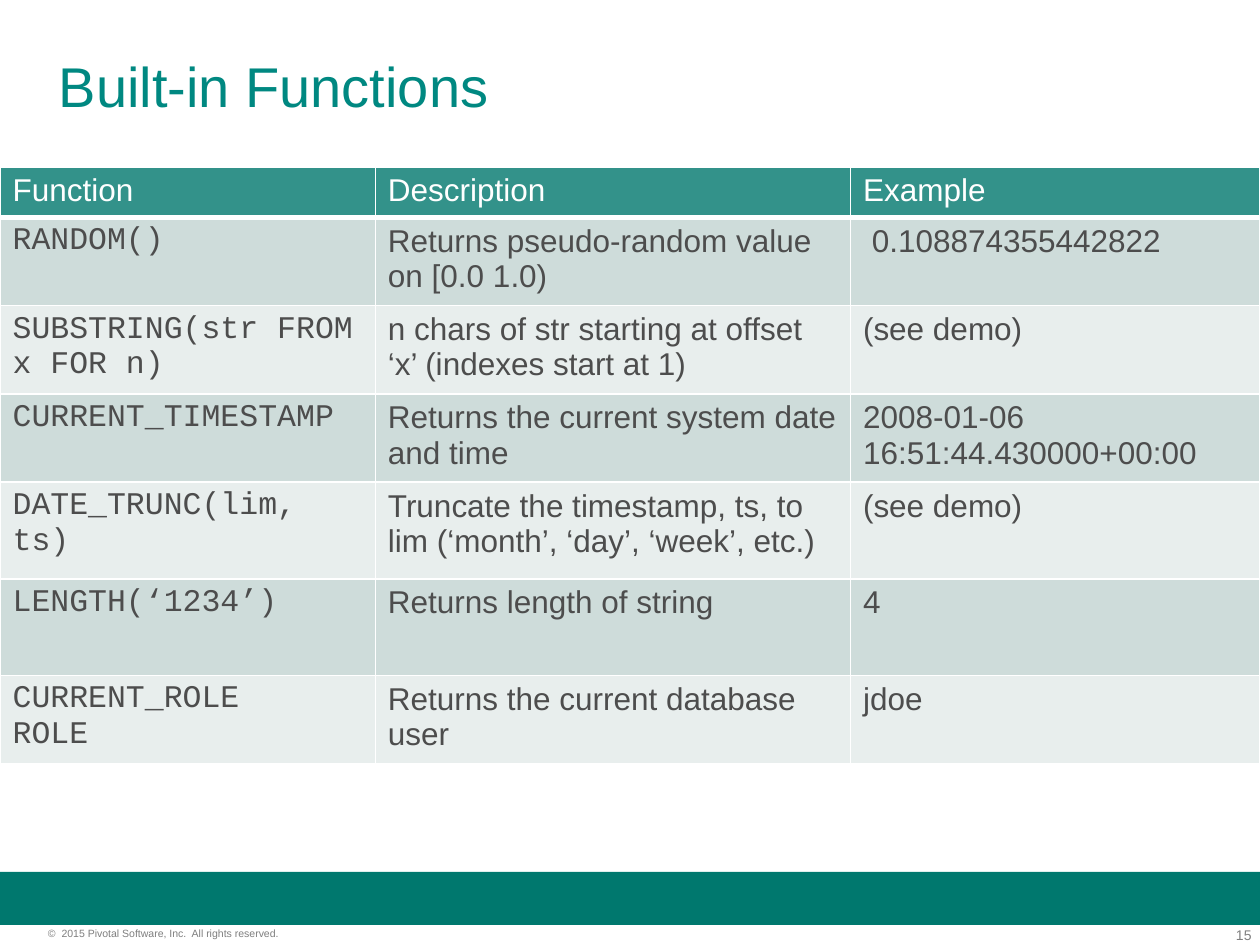
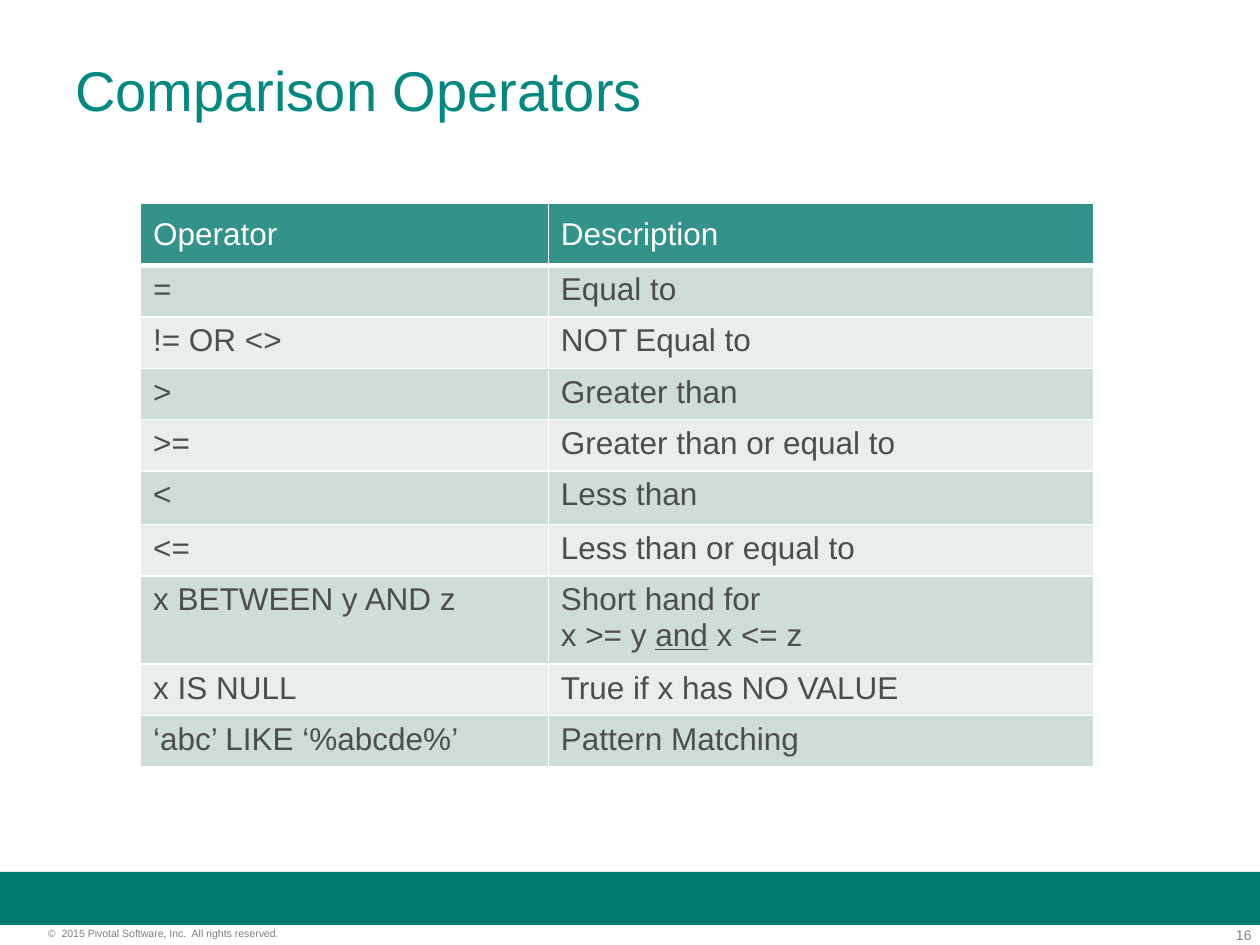
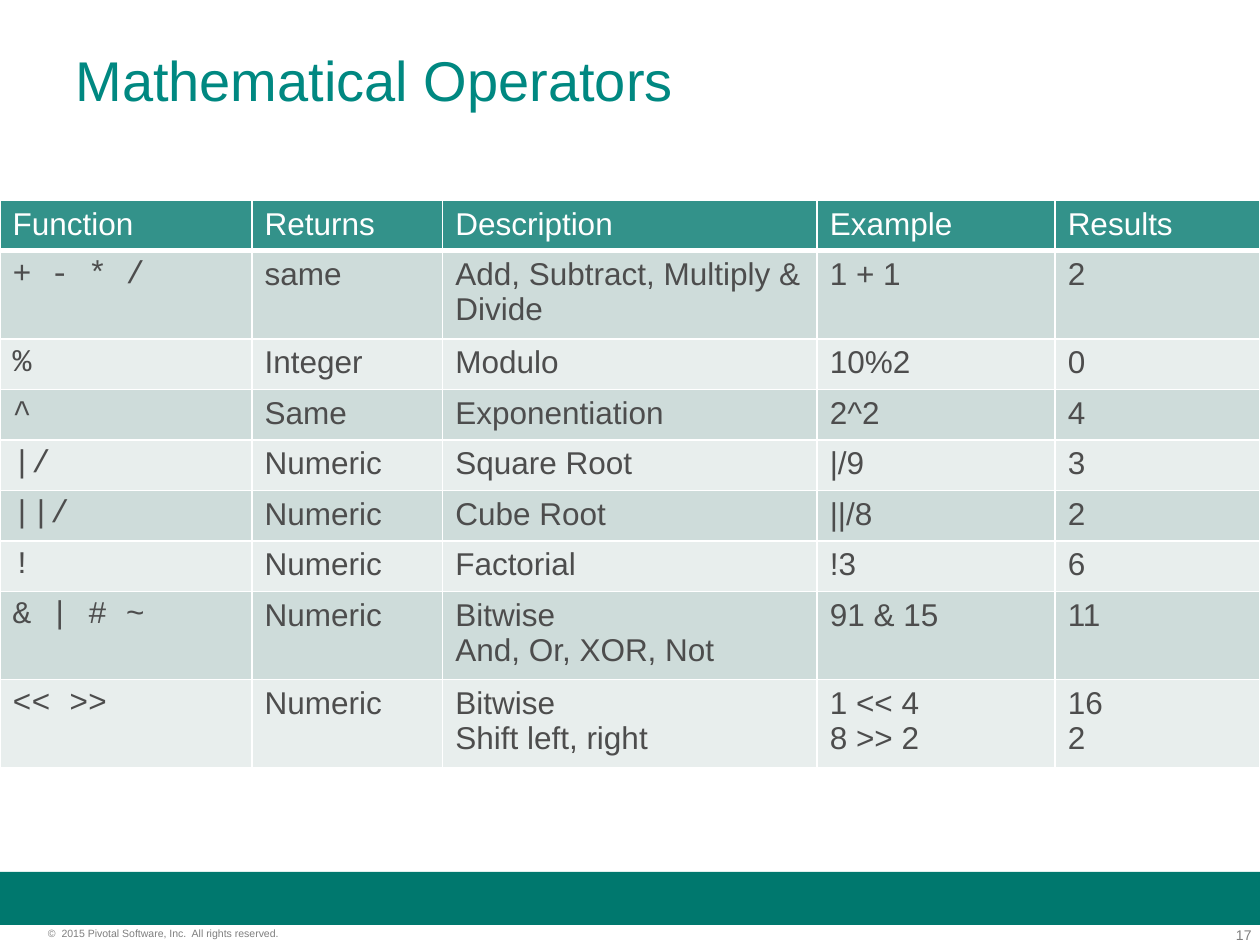
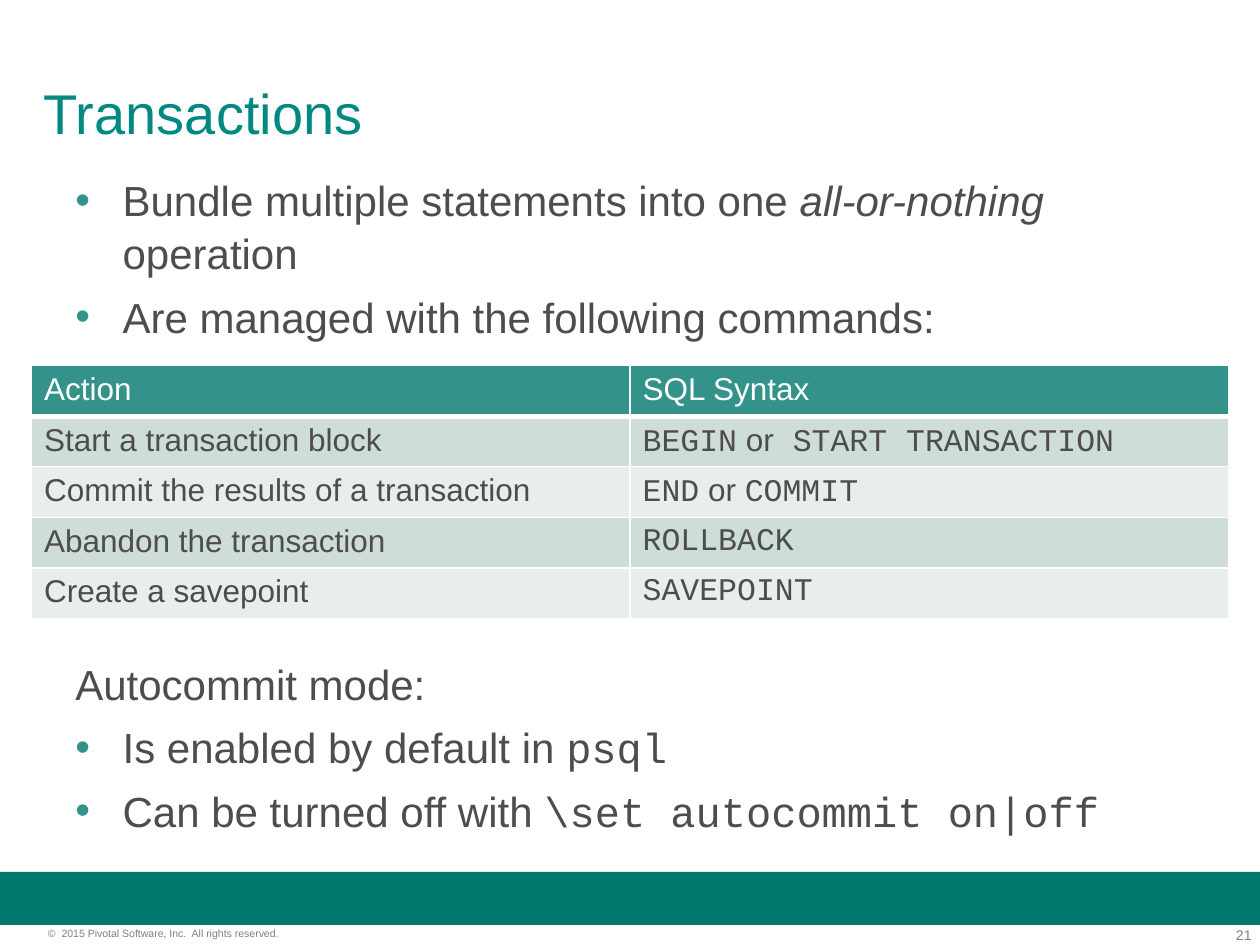
import pptx
import pptx.dml.color
import pptx.enum.shapes
import pptx.enum.text
import pptx.oxml
import pptx.oxml.ns
import pptx.util

Pt = pptx.util.Pt
ANCHOR = pptx.enum.text.MSO_ANCHOR

COLORS = {
    "title": "008881",
    "band": "00786E",
    "header": "33928A",
    "odd": "CEDCDA",
    "even": "E8EEED",
    "text": "4D4D4D",
    "footer": "7F7F7F",
    "white": "FFFFFF",
}
SANS, MONO = "Arial", "Courier New"
SLIDE_WIDTH, SLIDE_HEIGHT = 720, 540
COPYRIGHT = "©  2015 Pivotal Software, Inc.  All rights reserved."
ONE_LINE, TWO_LINES = 27.5, 47.7
INDENT = 27
BODY_GAP, TABLE_GAP = 6, 179.6

# In cells, a tuple holds paragraphs and a list holds the runs of one paragraph.
SLIDES = [
    {
        "title": "Built-in Functions",
        "title_box": (26.6, 8.6, 648, 80.6),
        "number": 15,
        "table": {
            "at": (0, 95.4),
            "columns": [214.5, 271.5, 234],
            "heights": [ONE_LINE] + [TWO_LINES] * 3 + [55.2] * 2 + [TWO_LINES],
            "code_first": True,
            "rows": [
                ("Function", "Description", "Example"),
                ("RANDOM()", "Returns pseudo-random value on [0.0 1.0)", " 0.108874355442822"),
                ("SUBSTRING(str FROM x FOR n)",
                 "n chars of str starting at offset ‘x’ (indexes start at 1)", "(see demo)"),
                ("CURRENT_TIMESTAMP", "Returns the current system date and time",
                 "2008-01-06 16:51:44.430000+00:00"),
                ("DATE_TRUNC(lim, ts)",
                 "Truncate the timestamp, ts, to lim (‘month’, ‘day’, ‘week’, etc.)", "(see demo)"),
                ("LENGTH(‘1234’)", "Returns length of string", "4"),
                ("CURRENT_ROLE \nROLE", "Returns the current database user", "jdoe"),
            ],
        },
    },
    {
        "title": "Comparison Operators",
        "title_box": (36, 18.7, 648, 64),
        "number": 16,
        "table": {
            "at": (80.3, 116.3),
            "columns": [233, 312],
            "heights": [35.6] + [29.3] * 4 + [30.8, 29.3, TWO_LINES] + [29.3] * 2,
            "header_anchor": ANCHOR.MIDDLE,
            "rows": [
                ("Operator", "Description"),
                ("=", "Equal to"),
                ("!= OR <>", "NOT Equal to"),
                (">", "Greater than"),
                (">=", "Greater than or equal to"),
                ("<", "Less than"),
                ("<=", "Less than or equal to"),
                ("x BETWEEN y AND z",
                 ("Short hand for", ["x >= y ", ("and", "underline"), " x <= z"])),
                ("x IS NULL", "True if x has NO VALUE"),
                ("‘abc’ LIKE ‘%abcde%’", "Pattern Matching"),
            ],
        },
    },
    {
        "title": "Mathematical Operators",
        "title_box": (36, 0, 648, 90),
        "number": 17,
        "table": {
            "at": (0, 114.5),
            "columns": [144, 109, 214, 136, 117],
            "heights": [ONE_LINE, TWO_LINES] + [ONE_LINE] * 5 + [TWO_LINES] * 2,
            "code_first": True,
            "rows": [
                ("Function", "Returns", "Description", "Example", "Results"),
                ("+ - * /", "same", "Add, Subtract, Multiply & Divide", "1 + 1", "2"),
                ("%", "Integer", "Modulo", "10%2", "0"),
                ("^", "Same", "Exponentiation", "2^2", "4"),
                ("|/", "Numeric", "Square Root", "|/9", "3"),
                ("||/", "Numeric", "Cube Root", "||/8", "2"),
                ("!", "Numeric", "Factorial", "!3", "6"),
                ("& | # ~", "Numeric", ("Bitwise", "And, Or, XOR, Not"), "91 & 15", "11"),
                ("<< >>", "Numeric", ("Bitwise", "Shift left, right"),
                 ("1 << 4", "8 >> 2"), ("16", "2")),
            ],
        },
    },
    {
        "title": "Transactions",
        "title_box": (18, 33.1, 648, 62),
        "number": 21,
        "body_box": (36, 95, 648, 356.4),
        "body": [
            (True, 0, ["Bundle multiple statements into one ",
                       ("all-or-nothing", "italic"), " operation"]),
            (True, BODY_GAP, "Are managed with the following commands:"),
            (False, TABLE_GAP, "Autocommit mode:"),
            (True, BODY_GAP, ["Is enabled by default in ", ("psql", "code")]),
            (True, BODY_GAP, ["Can be turned off with ", ("\\set autocommit on|off", "code")]),
        ],
        "table": {
            "at": (18, 209),
            "columns": [342, 342],
            "heights": [ONE_LINE, 28.7, 29.1, ONE_LINE, ONE_LINE],
            "rows": [
                ("Action", "SQL Syntax"),
                ("Start a transaction block",
                 [("BEGIN", "code"), " or", (" START TRANSACTION", "code")]),
                ("Commit the results of a transaction",
                 [("END", "code"), " or ", ("COMMIT", "code")]),
                ("Abandon the transaction", [("ROLLBACK", "code")]),
                ("Create a savepoint", [("SAVEPOINT", "code")]),
            ],
        },
    },
]


def rgb(name):
    return pptx.dml.color.RGBColor.from_string(COLORS[name])


def add_runs(paragraph, content, size, color, default="plain"):
    for item in content if isinstance(content, list) else [content]:
        words, style = item if isinstance(item, tuple) else (item, default)
        for index, line in enumerate(words.split("\n")):
            if index:
                paragraph.add_line_break()
            run = paragraph.add_run()
            run.text = line
            font = run.font
            font.name = MONO if style == "code" else SANS
            font.size = Pt(size)
            font.bold = False
            font.color.rgb = rgb(color)
            if style == "italic":
                font.italic = True
            if style == "underline":
                font.underline = True


def add_text_frame(slide, box, inset=True):
    frame = slide.shapes.add_textbox(*map(Pt, box)).text_frame
    frame.word_wrap = True
    if not inset:
        frame.margin_left = frame.margin_right = 0
        frame.margin_top = frame.margin_bottom = 0
    return frame


def add_frame(slide, number):
    band = slide.shapes.add_shape(
        pptx.enum.shapes.MSO_SHAPE.RECTANGLE, 0, Pt(498.2), Pt(SLIDE_WIDTH), Pt(30.4))
    band.shadow.inherit = False
    band.fill.solid()
    band.fill.fore_color.rgb = rgb("band")
    band.line.fill.background()
    page = add_text_frame(slide, (673.2, 529.2, 42, 9.4), inset=False).paragraphs[0]
    page.alignment = pptx.enum.text.PP_ALIGN.RIGHT
    add_runs(page, str(number), 8, "footer")
    notice = add_text_frame(slide, (27.4, 529.9, 179.3, 7.2), inset=False)
    add_runs(notice.paragraphs[0], COPYRIGHT, 6, "footer")


def add_title(slide, title, box):
    frame = add_text_frame(slide, box)
    frame.vertical_anchor = ANCHOR.MIDDLE
    add_runs(frame.paragraphs[0], title, 32, "title")


def add_body(slide, items, box):
    frame = add_text_frame(slide, box)
    for index, (bulleted, gap, content) in enumerate(items):
        paragraph = frame.add_paragraph() if index else frame.paragraphs[0]
        properties = paragraph._p.get_or_add_pPr()
        properties.set("marL", str(Pt(INDENT)))
        properties.set("indent", str(-Pt(INDENT)))
        if bulleted:
            for bullet in (
                f'<a:buClr %s><a:srgbClr val="{COLORS["header"]}"/></a:buClr>',
                f'<a:buFont %s typeface="{SANS}"/>',
                '<a:buChar %s char="•"/>',
            ):
                properties.append(pptx.oxml.parse_xml(bullet % pptx.oxml.ns.nsdecls("a")))
        paragraph.line_spacing = 1.05
        paragraph.space_before = Pt(gap)
        add_runs(paragraph, content, 24, "text")


def set_borders(cell, bottom):
    properties = cell._tc.get_or_add_tcPr()
    for side, width in (("L", 1), ("R", 1), ("T", 1), ("B", bottom)):
        properties.append(pptx.oxml.parse_xml(
            f'<a:ln{side} {pptx.oxml.ns.nsdecls("a")} w="{Pt(width)}"><a:solidFill>'
            f'<a:srgbClr val="{COLORS["white"]}"/></a:solidFill></a:ln{side}>'))


def add_grid(slide, at, columns, heights, rows, code_first=False, header_anchor=ANCHOR.TOP):
    size = (sum(columns), sum(heights))
    table = slide.shapes.add_table(len(rows), len(columns), *map(Pt, at + size)).table
    table.horz_banding = False
    for column, width in zip(table.columns, columns):
        column.width = Pt(width)
    for r, (row, height) in enumerate(zip(rows, heights)):
        table.rows[r].height = Pt(height)
        fill = "header" if r == 0 else "odd" if r % 2 else "even"
        for c, content in enumerate(row):
            cell = table.cell(r, c)
            set_borders(cell, 1 if r else 3)
            cell.fill.solid()
            cell.fill.fore_color.rgb = rgb(fill)
            cell.vertical_anchor = ANCHOR.TOP if r else header_anchor
            style = "code" if code_first and r and c == 0 else "plain"
            paragraphs = content if isinstance(content, tuple) else (content,)
            frame = cell.text_frame
            for index, words in enumerate(paragraphs):
                paragraph = frame.add_paragraph() if index else frame.paragraphs[0]
                add_runs(paragraph, words, 18, "text" if r else "white", style)


def main():
    deck = pptx.Presentation()
    deck.slide_width, deck.slide_height = Pt(SLIDE_WIDTH), Pt(SLIDE_HEIGHT)
    for content in SLIDES:
        slide = deck.slides.add_slide(deck.slide_layouts[6])
        slide.background.fill.solid()
        slide.background.fill.fore_color.rgb = rgb("white")
        add_frame(slide, content["number"])
        add_title(slide, content["title"], content["title_box"])
        if "body" in content:
            add_body(slide, content["body"], content["body_box"])
        add_grid(slide, **content["table"])
    deck.save("out.pptx")


if __name__ == "__main__":
    main()
